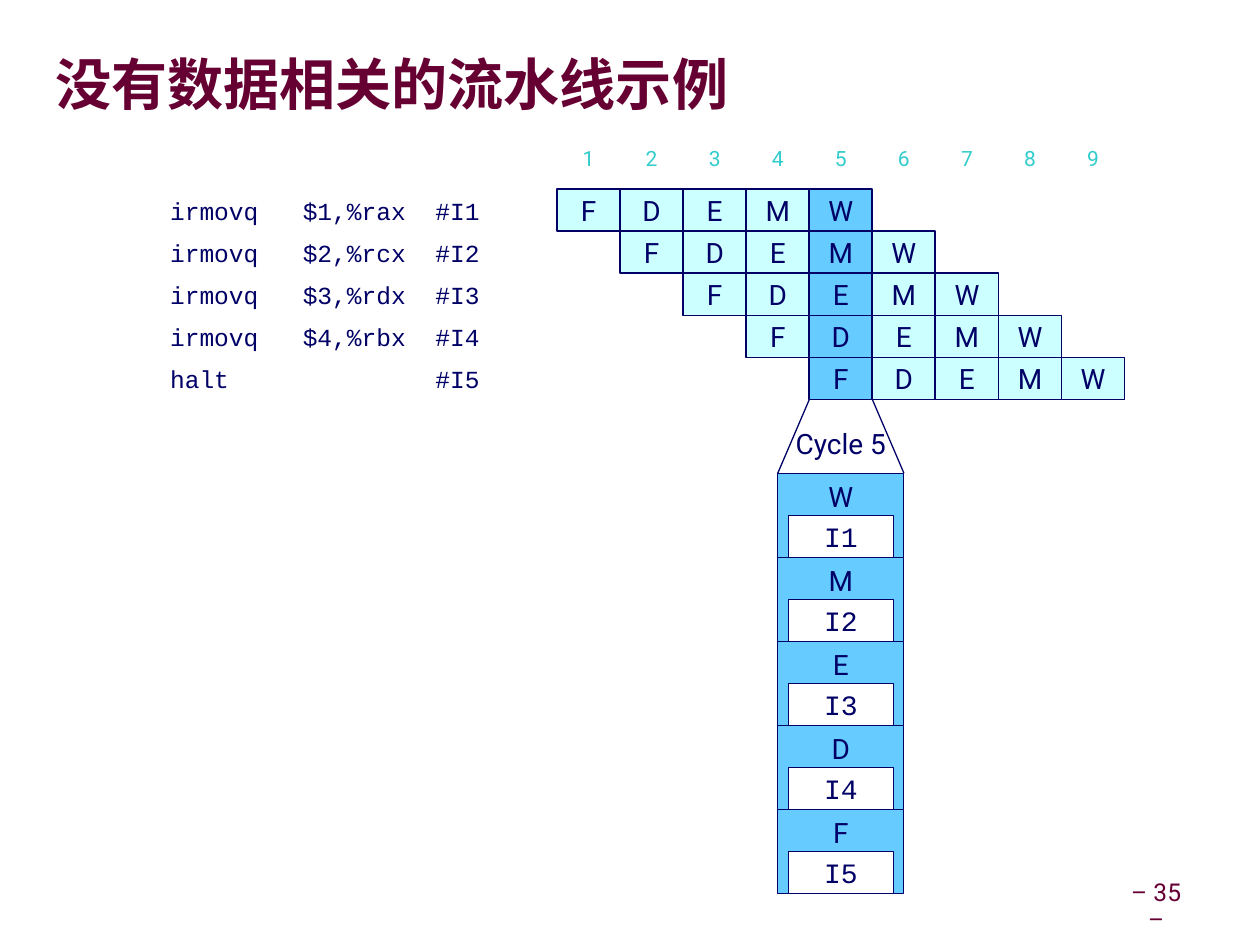
from dataclasses import dataclass

from lxml import etree
from pptx import Presentation
from pptx.dml.color import RGBColor
from pptx.enum.shapes import MSO_CONNECTOR, MSO_SHAPE
from pptx.enum.text import MSO_ANCHOR, PP_ALIGN
from pptx.oxml.ns import qn
from pptx.util import Emu, Pt

STRAIGHT = MSO_CONNECTOR.STRAIGHT
RECTANGLE = MSO_SHAPE.RECTANGLE
TOP, MIDDLE = MSO_ANCHOR.TOP, MSO_ANCHOR.MIDDLE
LEFT, CENTER = PP_ALIGN.LEFT, PP_ALIGN.CENTER

EMU_PER_PX = 9525
NAVY, MAROON, TEAL = "000066", "660033", "33CCCC"
WHITE, PALE, HIGHLIGHT = "FFFFFF", "CCFFFF", "66CCFF"
SANS, MONO, CJK = "Roboto", "Courier New", "Noto Sans CJK SC"

STAGES = "FDEMW"
CYCLES = 9
ZOOM_CYCLE = 5
GRID_X, GRID_Y, CELL_W, CELL_H = 424, 144, 48, 32
NUMBERS_Y = 104
CODE_X, CODE_W = 120, 272
CODE_TABS = (101, 202)
ZOOM_X, ZOOM_Y, ZOOM_W, ZOOM_H = 592, 360, 96, 64
LATCH_MARGIN = 8


@dataclass(frozen=True)
class Instruction:
    operation: str
    operands: str
    label: str


@dataclass(frozen=True)
class Style:
    size: int
    font: str = SANS
    color: str = NAVY
    bold: bool = False
    align: PP_ALIGN = CENTER
    anchor: MSO_ANCHOR = MIDDLE
    spacing: float = 1.0


PROGRAM = (
    Instruction("irmovq", "$1,%rax", "I1"),
    Instruction("irmovq", "$2,%rcx", "I2"),
    Instruction("irmovq", "$3,%rdx", "I3"),
    Instruction("irmovq", "$4,%rbx", "I4"),
    Instruction("halt", "", "I5"),
)

TITLE = Style(32, CJK, MAROON, bold=True, align=LEFT, spacing=0.87)
PAGE = Style(14, color=MAROON, spacing=0.9)
CODE = Style(14, MONO, align=LEFT)
CYCLE_NUMBER = Style(12, color=TEAL)
STAGE = Style(16)
ZOOM_STAGE = Style(16, anchor=TOP)
LATCH = Style(16, MONO)


def px(length: int) -> Emu:
    return Emu(length * EMU_PER_PX)


def rgb(color: str) -> RGBColor:
    return RGBColor.from_string(color)


def write(shape, text: str, style: Style, wrap: bool = False):
    """Put one styled run in the shape and return its paragraph."""
    frame = shape.text_frame
    frame.word_wrap = wrap
    frame.vertical_anchor = style.anchor
    paragraph = frame.paragraphs[0]
    paragraph.alignment = style.align
    paragraph.line_spacing = style.spacing
    run = paragraph.add_run()
    run.text = text
    run.font.size = Pt(style.size)
    run.font.bold = style.bold
    run.font.name = style.font
    run.font.color.rgb = rgb(style.color)
    if style.font == CJK:
        etree.SubElement(run.font._element, qn("a:ea"), typeface=style.font)
    return paragraph


def set_insets(shape, left: int, right: int) -> None:
    frame = shape.text_frame
    frame.margin_left, frame.margin_right = px(left), px(right)
    frame.margin_top = frame.margin_bottom = 0


def add_box(slide, x: int, y: int, w: int, h: int, text: str, style: Style,
            fill: str = WHITE, border: float = 0):
    box = slide.shapes.add_shape(RECTANGLE, px(x), px(y), px(w), px(h))
    box.shadow.inherit = False
    box.fill.solid()
    box.fill.fore_color.rgb = rgb(fill)
    if border:
        box.line.color.rgb = rgb(NAVY)
        box.line.width = Pt(border)
    else:
        box.line.fill.background()
    return write(box, text, style)


def add_label(slide, x: int, y: int, w: int, h: int, text: str, style: Style):
    label = slide.shapes.add_textbox(px(x), px(y), px(w), px(h))
    write(label, text, style, wrap=True)
    return label


def add_line(slide, x1: int, y1: int, x2: int, y2: int) -> None:
    line = slide.shapes.add_connector(STRAIGHT, px(x1), px(y1), px(x2), px(y2))
    line.line.color.rgb = rgb(NAVY)
    line.line.width = Pt(0.75)
    etree.SubElement(line._element.spPr, qn("a:effectLst"))


def add_code(slide, y: int, instruction: Instruction) -> None:
    text = f"{instruction.operation}\t{instruction.operands}\t#{instruction.label}"
    paragraph = add_box(slide, CODE_X, y, CODE_W, CELL_H, text, CODE)
    tabs = etree.SubElement(paragraph._p.get_or_add_pPr(), qn("a:tabLst"))
    for position in CODE_TABS:
        etree.SubElement(tabs, qn("a:tab"), pos=str(px(position)), algn="l")


def add_pipeline(slide) -> None:
    for cycle in range(CYCLES):
        add_box(slide, GRID_X + cycle * CELL_W, NUMBERS_Y, CELL_W, CELL_H,
                str(cycle + 1), CYCLE_NUMBER)
    for row, instruction in enumerate(PROGRAM):
        y = GRID_Y + row * CELL_H
        add_code(slide, y, instruction)
        for cycle, stage in enumerate(STAGES, start=row):
            fill = HIGHLIGHT if cycle + 1 == ZOOM_CYCLE else PALE
            add_box(slide, GRID_X + cycle * CELL_W, y, CELL_W, CELL_H,
                    stage, STAGE, fill, border=1)


def add_zoom(slide) -> None:
    """Show which instruction occupies each stage in the highlighted cycle."""
    column_x = GRID_X + (ZOOM_CYCLE - 1) * CELL_W
    grid_bottom = GRID_Y + len(PROGRAM) * CELL_H
    add_line(slide, column_x, grid_bottom, ZOOM_X, ZOOM_Y)
    add_line(slide, column_x + CELL_W, grid_bottom, ZOOM_X + ZOOM_W, ZOOM_Y)
    add_label(slide, ZOOM_X, 320, ZOOM_W, 36, f"Cycle {ZOOM_CYCLE}", ZOOM_STAGE)
    for row, (stage, instruction) in enumerate(zip(reversed(STAGES), PROGRAM)):
        y = ZOOM_Y + row * ZOOM_H
        add_box(slide, ZOOM_X, y, ZOOM_W, ZOOM_H, stage, ZOOM_STAGE,
                HIGHLIGHT, border=0.75)
        add_box(slide, ZOOM_X + LATCH_MARGIN, y + ZOOM_H // 2,
                ZOOM_W - 2 * LATCH_MARGIN, ZOOM_H // 2,
                instruction.label, LATCH, border=0.75)


def main() -> None:
    prs = Presentation()
    prs.slide_width, prs.slide_height = px(959), px(719)
    slide = prs.slides.add_slide(prs.slide_layouts[5])

    title = slide.shapes.title
    title.left, title.top, title.width, title.height = map(px, (42, 26, 885, 82))
    set_insets(title, 0, 0)
    write(title, "没有数据相关的流水线示例", TITLE, wrap=True)

    page_number = add_label(slide, 856, 675, 63, 30, "– 35 –", PAGE)
    set_insets(page_number, 2, 17)

    add_pipeline(slide)
    add_zoom(slide)
    prs.save("out.pptx")


if __name__ == "__main__":
    main()
